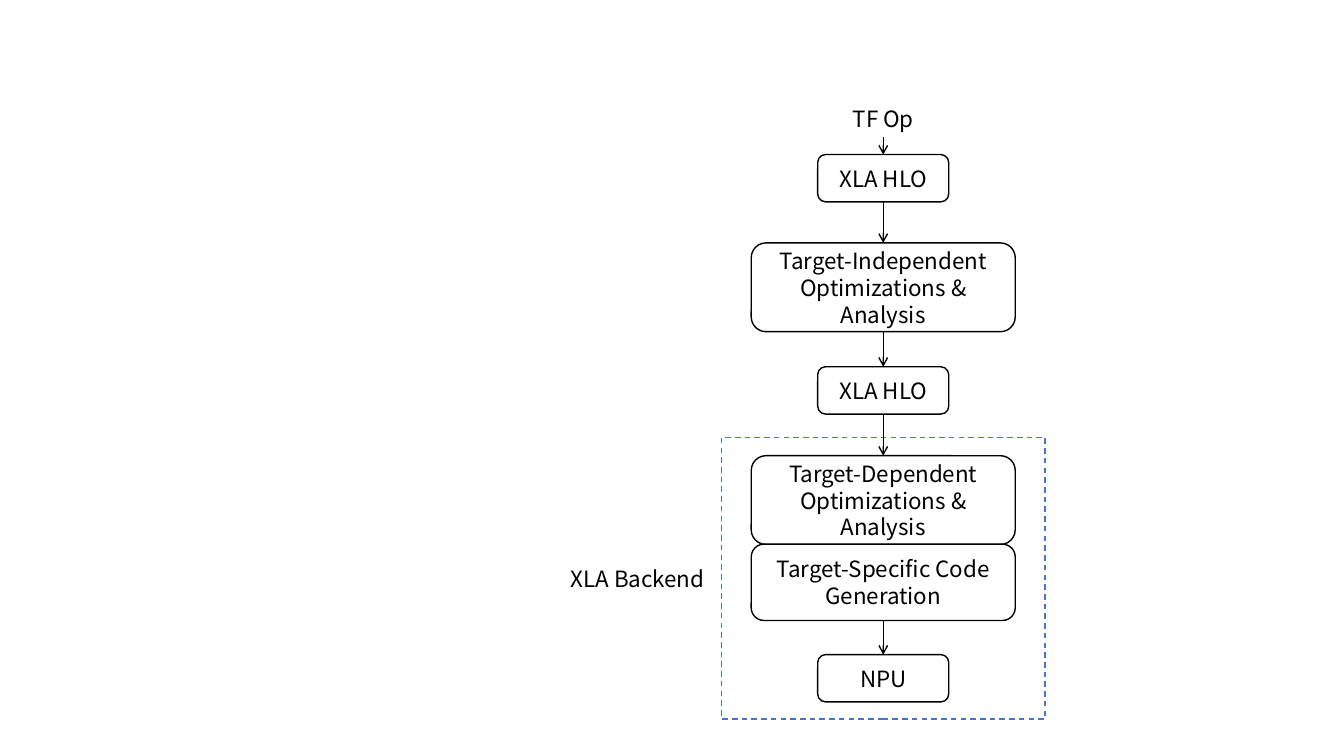
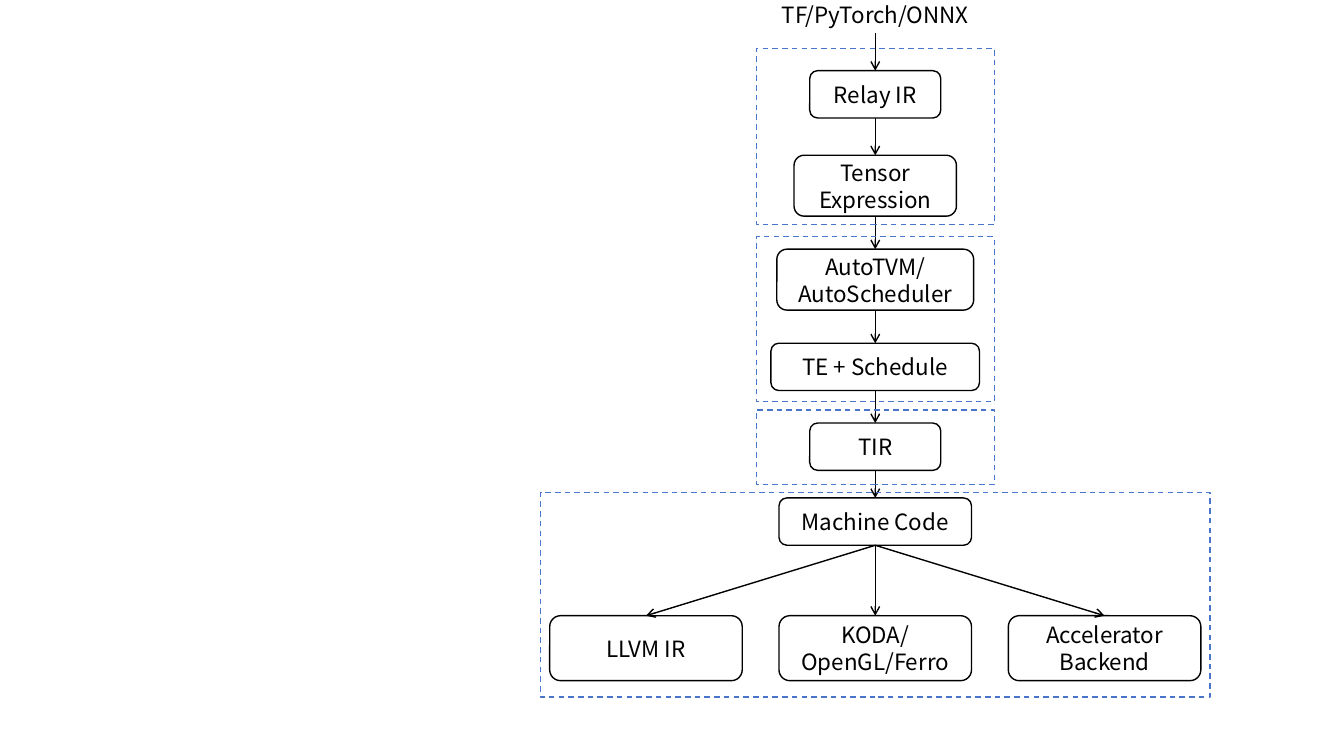
"""Build two compiler flow diagrams: the XLA pipeline and the TVM pipeline."""
from lxml import etree
from pptx import Presentation
from pptx.dml.color import RGBColor
from pptx.enum.dml import MSO_LINE
from pptx.enum.shapes import MSO_CONNECTOR, MSO_SHAPE
from pptx.enum.text import MSO_ANCHOR, MSO_AUTO_SIZE, PP_ALIGN
from pptx.oxml.ns import qn
from pptx.util import Pt

FRAME = MSO_SHAPE.RECTANGLE
NODE = MSO_SHAPE.ROUNDED_RECTANGLE
LABEL = None
STRAIGHT = MSO_CONNECTOR.STRAIGHT
DASH = MSO_LINE.DASH
CENTER = PP_ALIGN.CENTER
MIDDLE = MSO_ANCHOR.MIDDLE
GROW = MSO_AUTO_SIZE.SHAPE_TO_FIT_TEXT
FONT = "Noto Sans CJK SC"
BLACK, WHITE, BLUE = map(RGBColor.from_string, ("000000", "FFFFFF", "4874CB"))
TOP_SITE, BOTTOM_SITE = 0, 2
LOW = 33.8


def add_block(page, kind, center, top, width, height, text=""):
    place = Pt(center - width / 2), Pt(top), Pt(width), Pt(height)
    if kind is LABEL:
        box = page.shapes.add_textbox(*place)
        box.text_frame.auto_size = GROW
    else:
        box = page.shapes.add_shape(kind, *place)
        box.shadow.inherit = False
        box.line.width = Pt(1)
        box.text_frame.vertical_anchor = MIDDLE
    if kind is FRAME:
        box.fill.background()
        box.line.color.rgb = BLUE
        box.line.dash_style = DASH
        return box
    if kind is NODE:
        box.fill.solid()
        box.fill.fore_color.rgb = WHITE
        box.line.color.rgb = BLACK
    box.text_frame.word_wrap = True
    box.text_frame.text = text
    for para in box.text_frame.paragraphs:
        para.alignment = CENTER
        for span in para.runs:
            span.font.name = FONT
            span.font.size = Pt(16)
            span.font.color.rgb = BLACK
    return box


def add_arrow(page, upper, lower):
    arrow = page.shapes.add_connector(STRAIGHT, 0, 0, 0, 0)
    arrow.begin_connect(upper, BOTTOM_SITE)
    arrow.end_connect(lower, TOP_SITE)
    arrow.line.color.rgb = BLACK
    arrow.line.width = Pt(1)
    properties = arrow.element.spPr
    etree.SubElement(properties.find(qn("a:ln")), qn("a:tailEnd"), type="arrow")
    etree.SubElement(properties, qn("a:effectLst"))


deck = Presentation()
deck.slide_width, deck.slide_height = Pt(960), Pt(540)
blank = deck.slide_layouts[6]

xla_page = deck.slides.add_slide(blank)
xla_center = 630.9
xla_steps = [
    (LABEL, 71.3, 149, 26.6, "TF Op"),
    (NODE, 110.4, 93.6, LOW, "XLA HLO"),
    (NODE, 173.5, 188.6, 63.4, "Target-Independent Optimizations & Analysis"),
    (NODE, 262, 93.6, LOW, "XLA HLO"),
    (NODE, 325.5, 188.6, 63.4, "Target-Dependent Optimizations & Analysis"),
    (NODE, 388.7, 188.6, 54.5, "Target-Specific Code Generation"),
    (NODE, 467.6, 93.6, LOW, "NPU"),
]
add_block(xla_page, FRAME, 631, 312.5, 231.2, 201.2)
add_block(xla_page, LABEL, 455.4, 399.8, 149, 26.6, "XLA Backend")

tvm_page = deck.slides.add_slide(blank)
tvm_center = 625.2
tvm_steps = [
    (LABEL, -3, 190.8, 26.6, "TF/PyTorch/ONNX"),
    (NODE, 50.5, 93.6, LOW, "Relay IR"),
    (NODE, 110.9, 116, 43.5, "Tensor Expression"),
    (NODE, 178, 140.6, 43.5, "AutoTVM/ AutoScheduler"),
    (NODE, 245.2, 149, LOW, "TE + Schedule"),
    (NODE, 302.2, 93.6, LOW, "TIR"),
    (NODE, 355.7, 137.5, LOW, "Machine Code"),
]

for page, center, steps in ((xla_page, xla_center, xla_steps),
                            (tvm_page, tvm_center, tvm_steps)):
    previous = None
    for kind, top, width, height, text in steps:
        box = add_block(page, kind, center, top, width, height, text)
        if previous is not None and box.top - previous.top - previous.height > Pt(1):
            add_arrow(page, previous, box)
        previous = box

machine_code = previous
targets = ["LLVM IR", "KODA/\nOpenGL/Ferro", "Accelerator\nBackend"]
for column, text in enumerate(targets, start=-1):
    target = add_block(tvm_page, NODE, tvm_center + column * 163.8, 439.8, 137.5, 46.4, text)
    add_arrow(tvm_page, machine_code, target)

for top, width, height in ((34.6, 170, 125.8), (169, 170, 118),
                           (293, 170, 53.2), (351.6, 478.2, 146.4)):
    add_block(tvm_page, FRAME, tvm_center, top, width, height)

deck.save("out.pptx")
